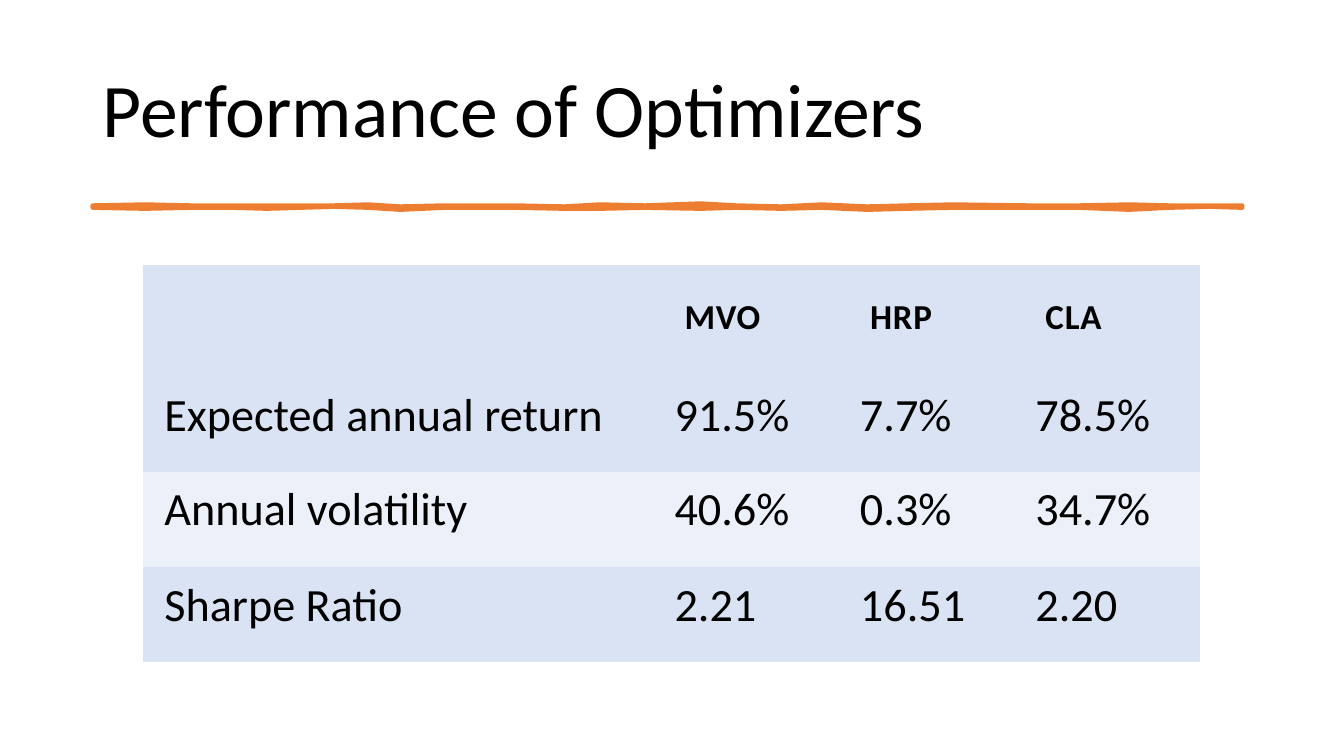
from pptx import Presentation
from pptx import util as u
from pptx.dml.color import RGBColor
from pptx.enum import text


def color(value):
    return RGBColor.from_string(value)


def add_span(para, words, size):
    span = para.add_run()
    span.text = words
    span.font.name = "Calibri"
    span.font.size = u.Pt(size)
    span.font.color.rgb = color("000000")
    return span


deck = Presentation()
deck.slide_width, deck.slide_height = u.Inches(13.33), u.Inches(7.5)
page = deck.slides.add_slide(deck.slide_layouts[5])

# Title
title = page.shapes.title
title.left, title.top = u.Inches(0.92), u.Inches(0.4)
title.width, title.height = u.Inches(11.5), u.Inches(1.45)
title.text_frame.vertical_anchor = text.MSO_ANCHOR.MIDDLE
para = title.text_frame.paragraphs[0]
para.alignment = text.PP_ALIGN.LEFT
para.line_spacing = 0.9
add_span(para, "Performance of Optimizers", 54)

# Hand-drawn rule in hundredths of an inch: x, upper edge, lower edge
STROKE = [
    (92, 204, 206), (144, 203, 207), (190, 204, 206), (230, 204, 206),
    (265, 204, 207), (331, 204, 205), (365, 203, 206), (397, 205, 208),
    (441, 204, 206), (510, 204, 206), (560, 205, 207), (595, 203, 207),
    (640, 204, 206), (695, 202, 207), (730, 204, 206), (775, 205, 207),
    (815, 203, 206), (860, 205, 208), (900, 204, 207), (945, 203, 206),
    (1020, 204, 206), (1070, 204, 206), (1120, 203, 208), (1160, 204, 206),
    (1200, 204, 205), (1232, 204, 206),
]
upper = [(x, top) for x, top, _ in STROKE]
lower = [(x, bottom) for x, _, bottom in reversed(STROKE)]
outline = page.shapes.build_freeform(*upper[0], scale=u.Inches(0.01))
outline.add_line_segments(upper[1:] + lower, close=True)
rule = outline.convert_to_shape()
rule.shadow.inherit = False
rule.fill.solid()
rule.fill.fore_color.rgb = color("ED7D31")
rule.line.color.rgb = color("ED7D31")
rule.line.width = u.Pt(3.25)

# Performance table
ROWS = [
    ("", "MVO", "HRP", "CLA"),
    ("Expected annual return", "91.5%", "7.7%", "78.5%"),
    ("Annual volatility", "40.6%", "0.3%", "34.7%"),
    ("Sharpe Ratio", "2.21", "16.51", "2.20"),
]
WIDTHS = [5.06, 1.84, 1.74, 1.84]
HEIGHTS = [1.11, 0.94, 0.95, 0.94]
FILLS = ["DAE3F3", "DAE3F3", "ECF1F9", "DAE3F3"]
NO_STYLE = "{2D5ABB26-0587-4C30-8999-92F81FD0307C}"

table = page.shapes.add_table(
    len(ROWS), len(WIDTHS), u.Inches(1.42), u.Inches(2.63),
    u.Inches(sum(WIDTHS)), u.Inches(sum(HEIGHTS))).table
table._tbl.tblPr[0].text = NO_STYLE
for column, width in zip(table.columns, WIDTHS):
    column.width = u.Inches(width)

for r, (row, height) in enumerate(zip(ROWS, HEIGHTS)):
    header = r == 0
    table.rows[r].height = u.Inches(height)
    for c, words in enumerate(row):
        cell = table.cell(r, c)
        cell.fill.solid()
        cell.fill.fore_color.rgb = color(FILLS[r])
        side = u.Inches(0.31 if header else 0.21)
        cell.margin_left = cell.margin_right = cell.margin_bottom = side
        cell.margin_top = side if header else u.Inches(0.1)
        if words:
            span = add_span(cell.text_frame.paragraphs[0], words, 25 if header else 33)
            span.font.bold = header
            if header:
                span.font._element.set("spc", "60")

deck.save("out.pptx")
